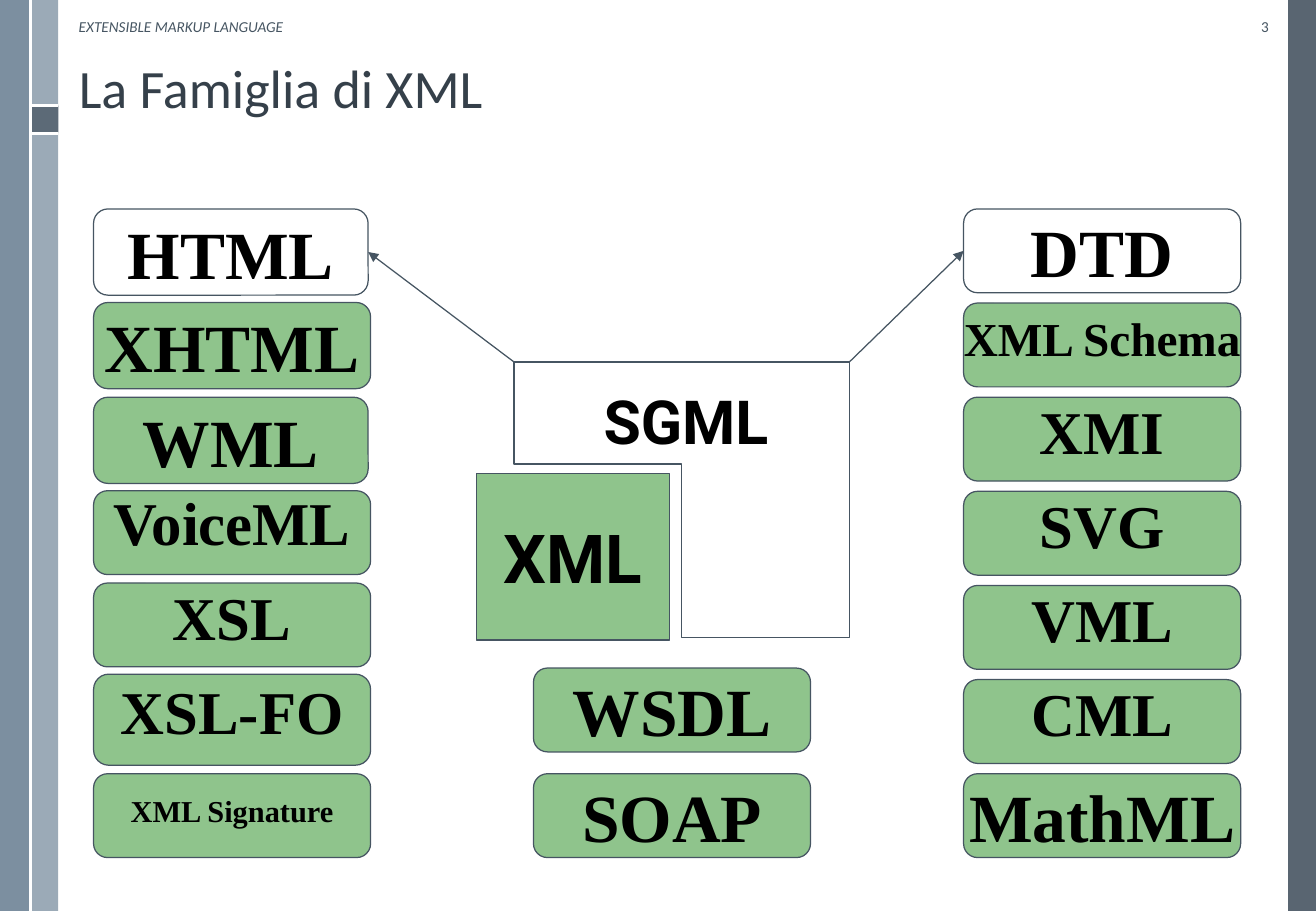
from lxml import etree
from pptx import Presentation
from pptx.dml.color import RGBColor
from pptx.enum.shapes import MSO_CONNECTOR, MSO_SHAPE
from pptx.enum.text import MSO_ANCHOR, PP_ALIGN
from pptx.oxml.ns import qn
from pptx.util import Pt

PX = 9144
RECT, ROUND = MSO_SHAPE.RECTANGLE, MSO_SHAPE.ROUNDED_RECTANGLE
STRAIGHT = MSO_CONNECTOR.STRAIGHT
TOP, MIDDLE = MSO_ANCHOR.TOP, MSO_ANCHOR.MIDDLE
LEFT, CENTER, RIGHT = PP_ALIGN.LEFT, PP_ALIGN.CENTER, PP_ALIGN.RIGHT
SLATE, GREEN, WHITE, BLACK = "465562", "8FC48C", "FFFFFF", "000000"
SERIF, SANS, HEADING = "Times New Roman", "Roboto", "Calibri"

BANDS = [
    (1060, 0, 23, 750, "475562", 90),
    (25, 0, 23, 750, "9BAAB7", 100),
    (0, 0, 25, 750, "6A8093", 88),
    (26, 87, 22, 22, "475562", 75),
]
RULES = [(25, 87, 48, 87), (25, 110, 48, 110), (25, 0, 25, 750)]
LEFT_COLUMN = [
    ("HTML", 172, 226, 71, 40, 1, WHITE),
    ("XHTML", 249, 228, 71, 40, 1, GREEN),
    ("WML", 327, 226, 71, 40, 1, GREEN),
    ("VoiceML", 404, 228, 69, 36, 0.6, GREEN),
    ("XSL", 480, 228, 69, 36, 0.7, GREEN),
    ("XSL-FO", 555, 228, 75, 36, 0.7, GREEN),
    ("XML Signature", 637, 228, 69, 18, 0.6, GREEN),
]
RIGHT_COLUMN = [
    ("DTD", 40, 1, WHITE),
    ("XML Schema", 28, 0.7, GREEN),
    ("XMI", 36, 0.7, GREEN),
    ("SVG", 36, 0.7, GREEN),
    ("VML", 36, 0.7, GREEN),
    ("CML", 36, 0.7, GREEN),
    ("MathML", 40, 1, GREEN),
]
SGML_OUTLINE = [(423, 298), (699, 298), (699, 525), (561, 525), (561, 382), (423, 382)]


def px(*values):
    return [round(v * PX) for v in values]


def rgb(color):
    return RGBColor.from_string(color)


def paint(sp, fill, line=None, alpha=100):
    sp.shadow.inherit = False
    sp.fill.solid()
    sp.fill.fore_color.rgb = rgb(fill)
    if alpha < 100:
        color = sp._element.spPr.find(qn("a:solidFill"))[0]
        etree.SubElement(color, qn("a:alpha"), val=str(alpha * 1000))
    if line:
        sp.line.color.rgb = rgb(line)
        sp.line.width = Pt(0.75)
    else:
        sp.line.fill.background()


def write(sp, text, font, size, color=BLACK, align=CENTER, anchor=MIDDLE,
          spacing=1, wrap=False, **style):
    tf = sp.text_frame
    tf.word_wrap = wrap
    tf.vertical_anchor = anchor
    p = tf.paragraphs[0]
    p.alignment = align
    p.line_spacing = spacing
    r = p.add_run()
    r.text = text
    r.font.color.rgb = rgb(color)
    for key, value in {"name": font, "size": Pt(size), **style}.items():
        setattr(r.font, key, value)


def add_box(s, kind, box, fill, line=None, alpha=100):
    sp = s.shapes.add_shape(kind, *px(*box))
    if kind == ROUND:
        sp.adjustments[0] = 0.167
    paint(sp, fill, line, alpha)
    return sp


def add_language(s, text, box, size, spacing=1, fill=GREEN):
    sp = add_box(s, ROUND, box, fill, SLATE)
    write(sp, text, SERIF, size, spacing=spacing, bold=True)
    return sp


def add_label(s, text, box, size, **style):
    sp = s.shapes.add_textbox(*px(*box))
    write(sp, text, HEADING, size, wrap=True, **style)


def add_line(s, ends, color, width):
    cx = s.shapes.add_connector(STRAIGHT, *px(*ends))
    cx.line.color.rgb = rgb(color)
    cx.line.width = Pt(width)
    etree.SubElement(cx._element.spPr, qn("a:effectLst"))
    return cx


def add_arrow(s, start, target, site):
    cx = add_line(s, (*start, *start), SLATE, 0.75)
    cx.end_connect(target, site)
    ln = cx.line._get_or_add_ln()
    etree.SubElement(ln, qn("a:tailEnd"), type="triangle")


def add_outline(s, points):
    fb = s.shapes.build_freeform(*points[0], scale=PX)
    fb.add_line_segments(points[1:], close=True)
    paint(fb.convert_to_shape(), WHITE, SLATE)


def main():
    prs = Presentation()
    prs.slide_width, prs.slide_height = px(1083, 750)
    s = prs.slides.add_slide(prs.slide_layouts[6])

    for *box, color, alpha in BANDS:
        add_box(s, RECT, box, color, alpha=alpha)
    for ends in RULES:
        add_line(s, ends, WHITE, 1.5)

    add_label(s, "La Famiglia di XML", (55, 46, 999, 109), 32, color="35404A",
              align=LEFT, anchor=TOP, spacing=0.9)
    add_label(s, "EXTENSIBLE MARKUP LANGUAGE", (55, 6, 353, 31), 9, color=SLATE,
              align=LEFT, italic=True)
    add_label(s, "3", (990, 6, 64, 31), 9, color=SLATE, align=RIGHT)

    xml = add_box(s, RECT, (392, 390, 159, 137), GREEN, SLATE)
    write(xml, "XML", SANS, 40, bold=True)
    add_outline(s, SGML_OUTLINE)
    sgml = add_box(s, RECT, (477, 311, 175, 70), WHITE)
    write(sgml, "SGML", SANS, 36, bold=True)

    left = [add_language(s, text, (77, y, w, h), size, spacing, fill)
            for text, y, w, h, size, spacing, fill in LEFT_COLUMN]
    right = [add_language(s, text, (793, 172 + 77.5 * i, 228, 69), size, spacing, fill)
             for i, (text, size, spacing, fill) in enumerate(RIGHT_COLUMN)]
    for text, y in (("WSDL", 550), ("SOAP", 637)):
        add_language(s, text, (439, y, 228, 69), 40)

    add_arrow(s, SGML_OUTLINE[0], left[0], 3)
    add_arrow(s, SGML_OUTLINE[1], right[0], 1)
    prs.save("out.pptx")


if __name__ == "__main__":
    main()
